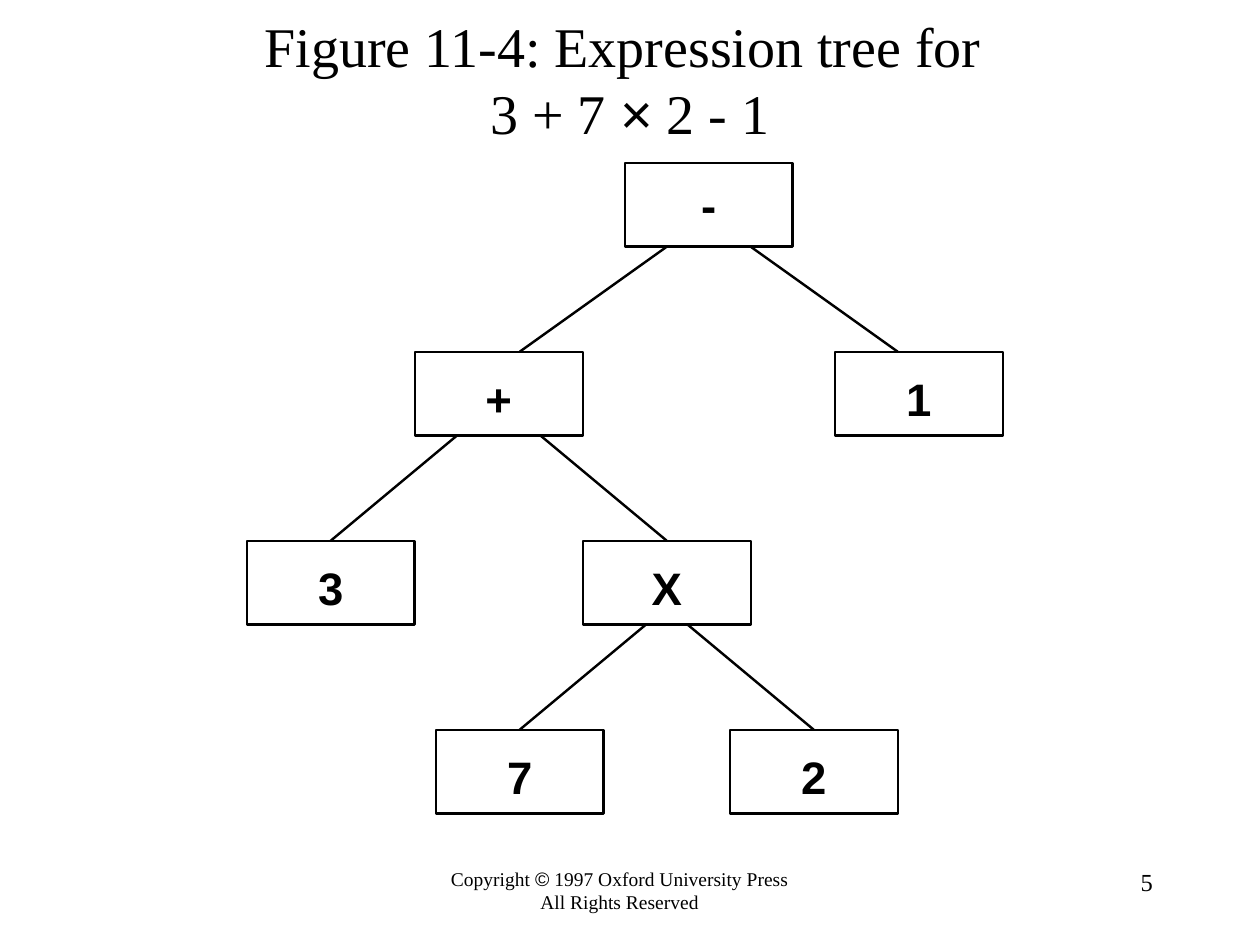
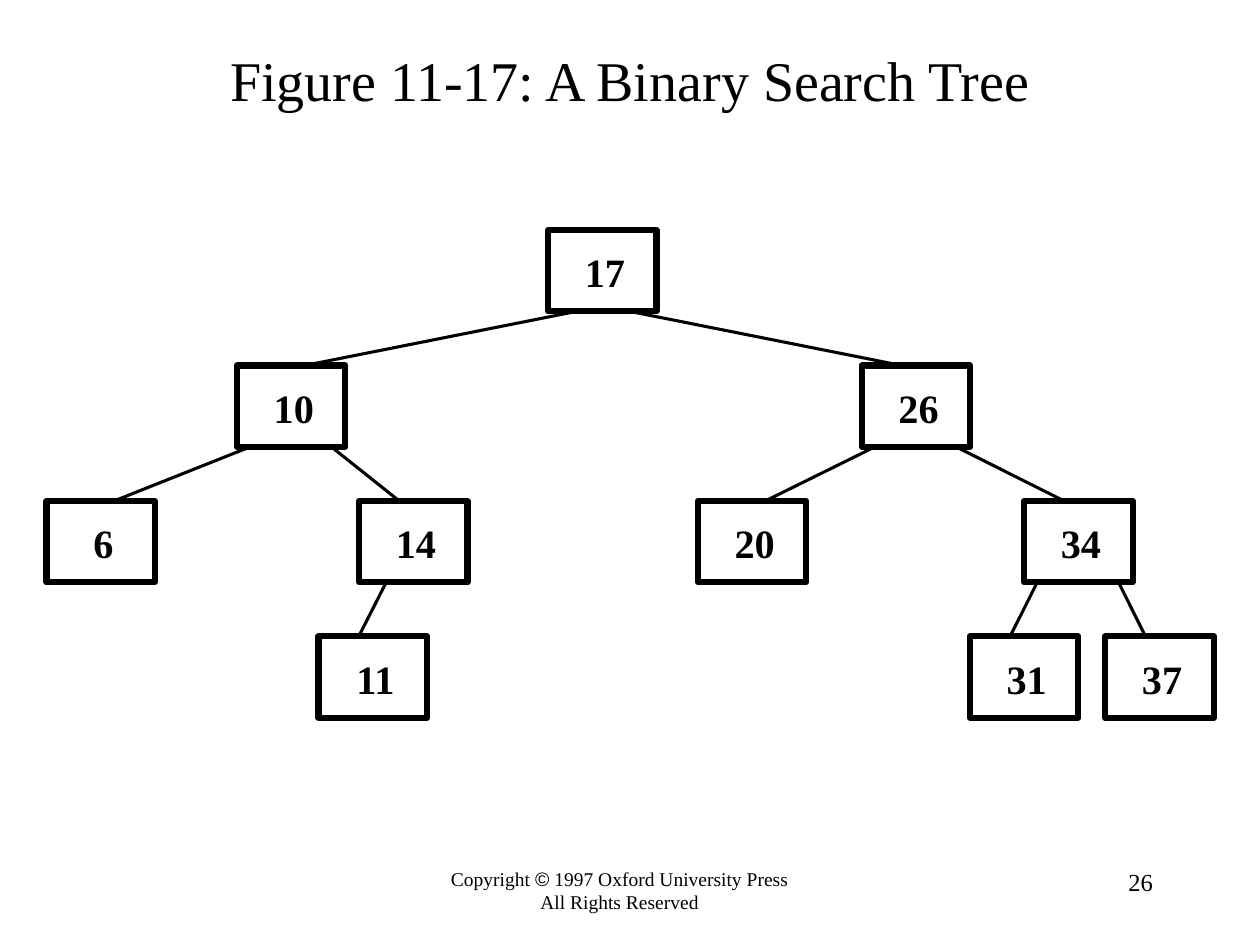
import lxml.etree
import pptx
import pptx.dml.color
import pptx.enum.shapes
import pptx.enum.text
import pptx.oxml.ns
import pptx.util

Pt = pptx.util.Pt
ALIGN = pptx.enum.text.PP_ALIGN
ANCHOR = pptx.enum.text.MSO_ANCHOR

COLORS = {"ink": "000000", "paper": "FFFFFF"}
SERIF, SANS = "Times New Roman", "Arial"

FOOTER = [
    ("Copyright ", SERIF),
    ("©", SANS),
    (" 1997 Oxford University Press\nAll Rights Reserved", SERIF),
]

EXPRESSION_TREE = {
    "title": [
        ("Figure 11-4: Expression tree for \n3 + 7 ", SERIF),
        ("×", SANS),
        (" 2 - 1", SERIF),
    ],
    "page": "5",
    "node": {"width": 96, "height": 48, "outline": 1.39},
    "label": {"font": SANS, "size": 26, "left": 0, "top": 4.7},
    "label_tops": {"-": 0},
    "edge_width": 1.39,
    "first_top": 93,
    "level_step": 108,
    "levels": [
        {"-": 357},
        {"+": 237, "1": 477},
        {"3": 141, "X": 333},
        {"7": 249, "2": 417},
    ],
    "edges": [
        ("-", 24, "+", 60),
        ("-", 72, "1", 36),
        ("+", 24, "3", 48),
        ("+", 72, "X", 48),
        ("X", 36, "7", 48),
        ("X", 60, "2", 48),
    ],
}

SEARCH_TREE = {
    "title": [("Figure 11-17: A Binary Search Tree", SERIF)],
    "page": "26",
    "node": {"width": 62, "height": 46.5, "outline": 3.5},
    "label": {"font": SERIF, "size": 23, "left": 1.5, "top": 1.2},
    "label_tops": {},
    "edge_width": 1.75,
    "first_top": 131.5,
    "level_step": 77.4,
    "levels": [
        {"17": 313.2},
        {"10": 135.4, "26": 492.4},
        {"6": 26.6, "14": 205.2, "20": 398.8, "34": 585.2},
        {"11": 182, "31": 554.2, "37": 631.6},
    ],
    "edges": [
        ("17", 16, "10", 38.5),
        ("17", 47, "26", 23),
        ("10", 7.5, "6", 38.5),
        ("10", 54, "14", 23),
        ("26", 7.5, "20", 38.5),
        ("26", 54, "34", 23),
        ("14", 15.5, "11", 23),
        ("34", 7.5, "31", 23),
        ("34", 54, "37", 23),
    ],
}


def rgb(name):
    return pptx.dml.color.RGBColor.from_string(COLORS[name])


def apply_format(target, values):
    for name, value in values.items():
        setattr(target, name, value)


def write_text(shape, runs, size, align, bold=False, **frame_format):
    apply_format(shape.text_frame, {
        "word_wrap": True,
        "auto_size": pptx.enum.text.MSO_AUTO_SIZE.NONE,
        **frame_format,
    })
    paragraph = shape.text_frame.paragraphs[0]
    paragraph.alignment = align
    for text, font_name in runs:
        for index, line in enumerate(text.split("\n")):
            if index:
                paragraph.add_line_break()
            run = paragraph.add_run()
            run.text = line
            apply_format(run.font, {"name": font_name, "size": Pt(size), "bold": bold})
            run.font.color.rgb = rgb("ink")


def add_frame(slide, tree):
    title = slide.shapes.title
    apply_format(title, {"left": 0, "top": 0, "width": Pt(720), "height": Pt(90)})
    write_text(title, tree["title"], 32, ALIGN.CENTER, vertical_anchor=ANCHOR.MIDDLE)
    footer = slide.shapes.add_textbox(Pt(216), Pt(492), Pt(276), Pt(36))
    write_text(footer, FOOTER, 11.1, ALIGN.CENTER)
    page = slide.shapes.add_textbox(Pt(516), Pt(492), Pt(150), Pt(36))
    write_text(page, [(tree["page"], SERIF)], 14, ALIGN.RIGHT)


def add_node(slide, tree, name, left, top):
    node, label = tree["node"], tree["label"]
    shape = slide.shapes.add_shape(
        pptx.enum.shapes.MSO_SHAPE.RECTANGLE,
        Pt(left), Pt(top), Pt(node["width"]), Pt(node["height"]))
    shape.shadow.inherit = False
    shape.fill.background()
    shape.line.color.rgb = rgb("ink")
    shape.line.width = Pt(node["outline"])
    write_text(
        shape, [(name, label["font"])], label["size"], ALIGN.CENTER, bold=True,
        vertical_anchor=ANCHOR.MIDDLE,
        margin_left=Pt(2 * label["left"]), margin_right=0,
        margin_top=Pt(tree["label_tops"].get(name, label["top"])), margin_bottom=0)


def add_edge(slide, start, end, width):
    connector = slide.shapes.add_connector(
        pptx.enum.shapes.MSO_CONNECTOR.STRAIGHT, *map(Pt, start + end))
    connector.line.color.rgb = rgb("ink")
    connector.line.width = Pt(width)
    lxml.etree.SubElement(connector._element.spPr, pptx.oxml.ns.qn("a:effectLst"))


def add_tree(slide, tree):
    corners = {
        name: (left, tree["first_top"] + depth * tree["level_step"])
        for depth, level in enumerate(tree["levels"])
        for name, left in level.items()
    }
    for parent, start_offset, child, end_offset in tree["edges"]:
        parent_left, parent_top = corners[parent]
        child_left, child_top = corners[child]
        start = (parent_left + start_offset, parent_top + tree["node"]["height"])
        add_edge(slide, start, (child_left + end_offset, child_top), tree["edge_width"])
    for name, corner in corners.items():
        add_node(slide, tree, name, *corner)


def main():
    presentation = pptx.Presentation()
    presentation.slide_width, presentation.slide_height = Pt(720), Pt(540)
    for tree in (EXPRESSION_TREE, SEARCH_TREE):
        slide = presentation.slides.add_slide(presentation.slide_layouts[5])
        slide.background.fill.solid()
        slide.background.fill.fore_color.rgb = rgb("paper")
        add_frame(slide, tree)
        add_tree(slide, tree)
    presentation.save("out.pptx")


if __name__ == "__main__":
    main()
